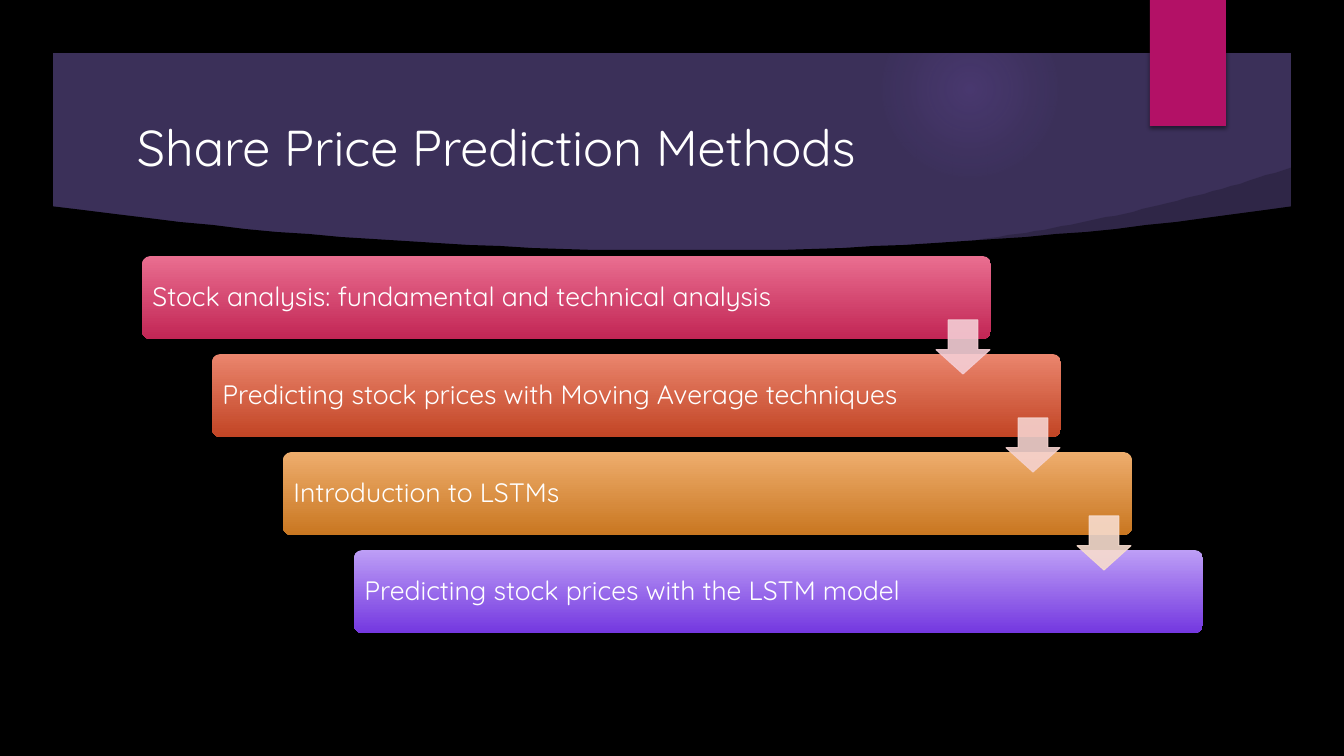
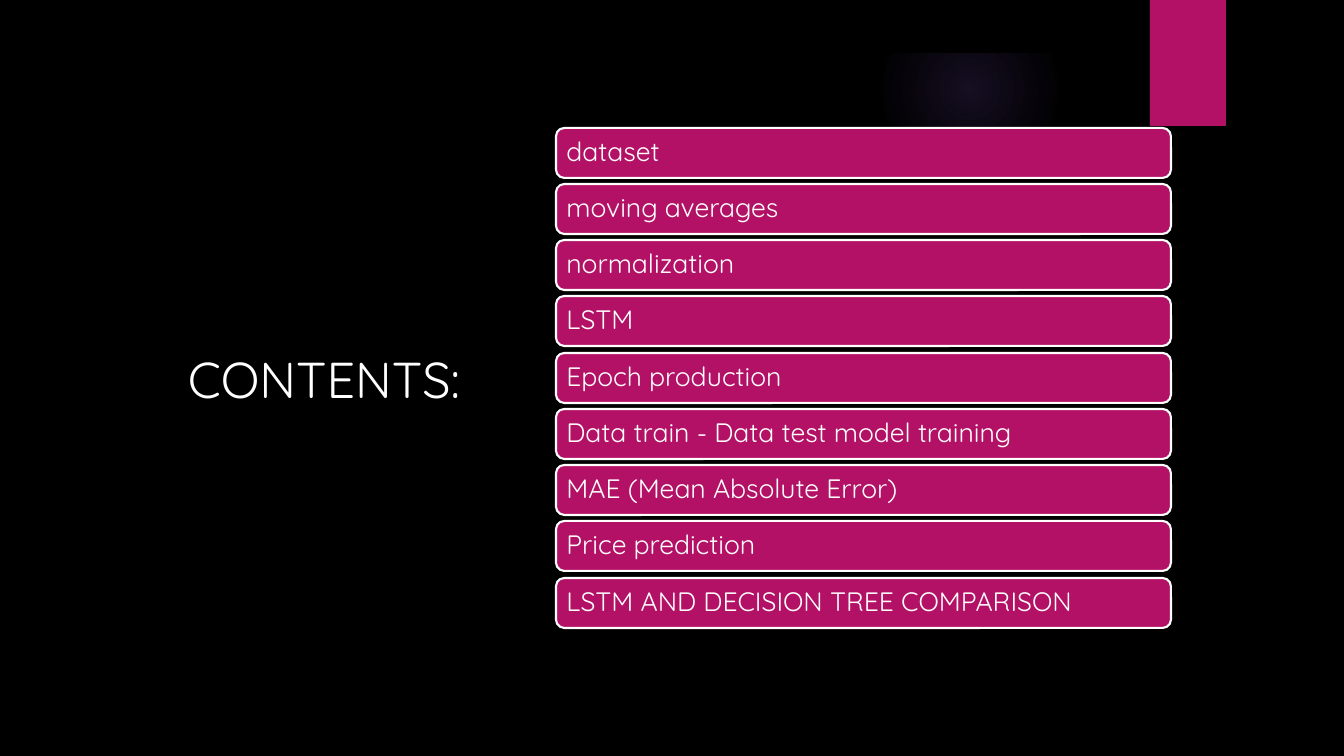
from dataclasses import dataclass

from pptx import Presentation
from pptx.dml.color import RGBColor
from pptx.enum.shapes import MSO_SHAPE
from pptx.enum.text import MSO_ANCHOR, PP_ALIGN
from pptx.oxml import parse_xml
from pptx.oxml.ns import nsdecls, qn
from pptx.shapes.autoshape import Shape
from pptx.slide import Slide
from pptx.text.text import TextFrame
from pptx.util import Emu, Pt

# Scale: the slide is 1344 by 756 px
WIDE, HIGH = 1344, 756
SCALE = 12192000 / WIDE

FONT = "Quicksand"
BLACK = RGBColor(0x00, 0x00, 0x00)
WHITE = RGBColor(0xFF, 0xFF, 0xFF)
PURPLE = RGBColor(0x3B, 0x30, 0x59)
GLOW = RGBColor(0x9B, 0x6B, 0xF2)
PINK = RGBColor(0xB3, 0x11, 0x66)

RECT, ROUND, OVAL = MSO_SHAPE.RECTANGLE, MSO_SHAPE.ROUNDED_RECTANGLE, MSO_SHAPE.OVAL
FRAME, ARROW = MSO_SHAPE.FRAME, MSO_SHAPE.DOWN_ARROW
MIDDLE = MSO_ANCHOR.MIDDLE
LEFT, RIGHT = PP_ALIGN.LEFT, PP_ALIGN.RIGHT

Point = tuple[int, int]


@dataclass(frozen=True)
class Box:
    left: int
    top: int
    width: int
    height: int


@dataclass(frozen=True)
class Step:
    text: str
    light: RGBColor
    dark: RGBColor
    arrow: RGBColor | None = None


STEPS = [
    Step("Stock analysis: fundamental and technical analysis",
         RGBColor(0xE9, 0x6E, 0x90), RGBColor(0xC2, 0x26, 0x55), RGBColor(0xF4, 0xCE, 0xD5)),
    Step("Predicting stock prices with Moving Average techniques",
         RGBColor(0xEA, 0x85, 0x6D), RGBColor(0xC2, 0x45, 0x25), RGBColor(0xF5, 0xD2, 0xCE)),
    Step("Introduction to LSTMs",
         RGBColor(0xEE, 0xAD, 0x6D), RGBColor(0xC9, 0x77, 0x21), RGBColor(0xF7, 0xDC, 0xCE)),
    Step("Predicting stock prices with the LSTM model",
         RGBColor(0xBD, 0x9E, 0xF6), RGBColor(0x74, 0x38, 0xE0)),
]

TOPICS = [
    "dataset",
    "moving averages",
    "normalization",
    "LSTM",
    "Epoch production",
    "Data train - Data test model training",
    "MAE (Mean Absolute Error)",
    "Price prediction",
    "LSTM AND DECISION TREE COMPARISON",
]


def px(value: float) -> Emu:
    return Emu(round(value * SCALE))


def place(box: Box) -> tuple[Emu, Emu, Emu, Emu]:
    return px(box.left), px(box.top), px(box.width), px(box.height)


# Basic shapes and effects
def plain(shape: Shape, color: RGBColor | None = None) -> Shape:
    shape.shadow.inherit = False
    shape.line.fill.background()
    if color is not None:
        shape.fill.solid()
        shape.fill.fore_color.rgb = color
    return shape


def draw(slide: Slide, kind: MSO_SHAPE, box: Box, color: RGBColor | None = None) -> Shape:
    return plain(slide.shapes.add_shape(kind, *place(box)), color)


def outline(slide: Slide, points: list[Point], color: RGBColor) -> Shape:
    pen = slide.shapes.build_freeform(*points[0], scale=SCALE)
    pen.add_line_segments(points[1:], close=True)
    return plain(pen.convert_to_shape(), color)


def curve(start: Point, bend: Point, end: Point, count: int = 40) -> list[Point]:
    points = []
    for i in range(count + 1):
        t = i / count
        x, y = ((1 - t) ** 2 * a + 2 * t * (1 - t) * b + t * t * c
                for a, b, c in zip(start, bend, end))
        points.append((round(x, 2), round(y, 2)))
    return points


def fade(shape: Shape, percent: int) -> None:
    for color in shape._element.spPr.iter(qn("a:srgbClr")):
        color.append(parse_xml(f'<a:alpha {nsdecls("a")} val="{percent * 1000}"/>'))


def shade(shape: Shape) -> None:
    effects = shape._element.spPr.find(qn("a:effectLst"))
    effects.append(parse_xml(
        f'<a:outerShdw {nsdecls("a")} blurRad="38100" dist="25400" dir="5400000" '
        f'rotWithShape="0"><a:srgbClr val="{BLACK}"><a:alpha val="45000"/></a:srgbClr>'
        '</a:outerShdw>'))


def radiate(shape: Shape, stops: list[tuple[int, int]]) -> None:
    shape.fill.gradient()
    props = shape._element.spPr
    marks = "".join(
        f'<a:gs pos="{pos * 1000}"><a:srgbClr val="{GLOW}">'
        f'<a:alpha val="{alpha * 1000}"/></a:srgbClr></a:gs>' for pos, alpha in stops)
    props.replace(props.find(qn("a:gradFill")), parse_xml(
        f'<a:gradFill {nsdecls("a")} rotWithShape="1"><a:gsLst>{marks}</a:gsLst>'
        '<a:path path="circle"><a:fillToRect l="50000" t="50000" r="50000" b="50000"/>'
        '</a:path></a:gradFill>'))


# Text
def write(frame: TextFrame, text: str, size: int, align: PP_ALIGN = LEFT) -> None:
    frame.word_wrap = True
    frame.vertical_anchor = MIDDLE
    para = frame.paragraphs[0]
    para.text = text
    para.alignment = align
    para.font.name = FONT
    para.font.size = Pt(size)
    para.font.color.rgb = WHITE


def label(shape: Shape, text: str) -> None:
    frame = shape.text_frame
    frame.margin_left = frame.margin_right = px(8)
    frame.margin_top = frame.margin_bottom = px(8)
    write(frame, text, 19)
    frame.paragraphs[0].line_spacing = 0.9


def title(slide: Slide, text: str, box: Box, align: PP_ALIGN = LEFT) -> None:
    write(slide.shapes.add_textbox(*place(box)).text_frame, text, 36, align)


# Shared backdrop
def band(slide: Slide) -> None:
    wedge = curve((937, 245), (1115, 225), (1293, 167)) + [(1299, 216), (942, 252)]
    fade(outline(slide, wedge, BLACK), 20)
    body = curve((50, 206), (705, 295), (1294, 206)) + [(1294, 706), (50, 706)]
    outline(slide, body, BLACK)


def start(deck: Presentation, color: RGBColor, banded: bool = False) -> Slide:
    slide = deck.slides.add_slide(deck.slide_layouts[6])
    slide.background.fill.solid()
    slide.background.fill.fore_color.rgb = color
    radiate(draw(slide, OVAL, Box(882, 1, 176, 176)), [(0, 14), (36, 7), (73, 0), (100, 0)])
    if banded:
        band(slide)
    border = draw(slide, FRAME, Box(0, 0, WIDE, HIGH), BLACK)
    border.adjustments[0] = 0.07
    shade(draw(slide, RECT, Box(1150, 0, 76, 126), PINK))
    return slide


# Slides
def methods(deck: Presentation) -> None:
    slide = start(deck, PURPLE, banded=True)
    title(slide, "Share Price Prediction Methods", Box(127, 107, 966, 78))
    spots = [(142 + i * 212 // 3, 256 + i * 98) for i in range(len(STEPS))]
    for step, (left, top) in zip(STEPS, spots):
        bar = draw(slide, ROUND, Box(left, top, 849, 83))
        bar.adjustments[0] = 0.1
        bar.fill.gradient()
        bar.fill.gradient_angle = 270
        for stop, color, pos in zip(bar.fill.gradient_stops, (step.light, step.dark), (0, 1)):
            stop.color.rgb = color
            stop.position = pos
        shade(bar)
        label(bar, step.text)
    for step, (left, top) in zip(STEPS, spots):
        if step.arrow is None:
            continue
        arrow = draw(slide, ARROW, Box(left + 794, top + 64, 54, 54), step.arrow)
        arrow.adjustments[0] = 0.55
        arrow.adjustments[1] = 0.45
        arrow.line.color.rgb = step.arrow
        arrow.line.width = Pt(0.75)
        fade(arrow, 90)


def contents(deck: Presentation) -> None:
    slide = start(deck, BLACK)
    title(slide, "CONTENTS:", Box(92, 120, 378, 517), RIGHT)
    for i, topic in enumerate(TOPICS):
        bar = draw(slide, ROUND, Box(556, 128 + i * 450 // 8, 615, 50), PINK)
        bar.line.color.rgb = WHITE
        bar.line.width = Pt(1.5)
        label(bar, topic)


def main() -> None:
    deck = Presentation()
    deck.slide_width, deck.slide_height = px(WIDE), px(HIGH)
    methods(deck)
    contents(deck)
    deck.save("out.pptx")


if __name__ == "__main__":
    main()
